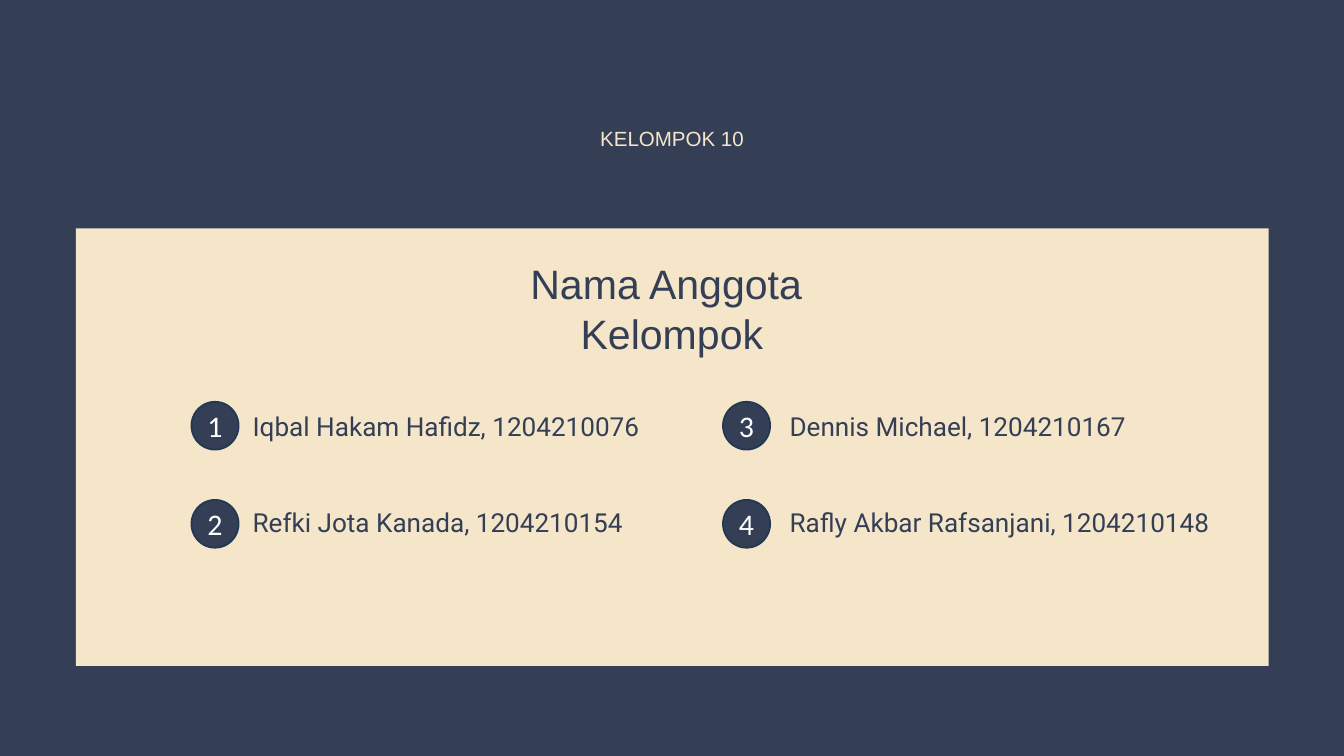
"""Build the group members slide."""
from dataclasses import dataclass

from pptx import Presentation
from pptx.dml.color import RGBColor
from pptx.enum.shapes import MSO_SHAPE
from pptx.enum.text import MSO_ANCHOR, MSO_AUTO_SIZE, PP_ALIGN
from pptx.slide import Slide
from pptx.text.text import TextFrame
from pptx.util import Inches, Pt

NAVY = RGBColor(0x34, 0x3F, 0x56)
NAVY_EDGE = RGBColor(0x23, 0x39, 0x53)
CREAM = RGBColor(0xF5, 0xE6, 0xCA)
WHITE = RGBColor(0xFF, 0xFF, 0xFF)


@dataclass(frozen=True)
class Style:
    font: str
    size: int
    color: RGBColor
    align: PP_ALIGN = PP_ALIGN.CENTER
    spacing: float | None = None


@dataclass(frozen=True)
class Box:
    left: float
    top: float
    width: float
    height: float

    def lengths(self) -> list[int]:
        return [Inches(value) for value in (self.left, self.top, self.width, self.height)]


@dataclass(frozen=True)
class Column:
    badge_left: float
    name_left: float
    name_width: float
    members: tuple[str, ...]


TITLE = Style("Arial", 44, NAVY)
GROUP = Style("Arial", 22, CREAM, spacing=30.8)
MEMBER = Style("Roboto", 28, NAVY, PP_ALIGN.LEFT, 30.8)
NUMBER = Style("Calibri", 32, WHITE)

COLUMNS = (
    Column(2.85, 3.76, 6.03, ("Iqbal Hakam Hafidz, 1204210076", "Refki Jota Kanada, 1204210154")),
    Column(10.76, 11.75, 6.51, ("Dennis Michael, 1204210167", "Rafly Akbar Rafsanjani, 1204210148")),
)
BADGE_TOP, BADGE_STEP = 5.98, 1.46
NAME_TOP, NAME_STEP = 6.15, 1.43


def write_lines(frame: TextFrame, lines: tuple[str, ...], style: Style) -> None:
    for index, line in enumerate(lines):
        paragraph = frame.add_paragraph() if index else frame.paragraphs[0]
        paragraph.alignment = style.align
        if style.spacing:
            paragraph.line_spacing = Pt(style.spacing)
        run = paragraph.add_run()
        run.text = line
        run.font.name = style.font
        run.font.size = Pt(style.size)
        run.font.color.rgb = style.color


def add_label(slide: Slide, box: Box, lines: tuple[str, ...], style: Style) -> None:
    frame = slide.shapes.add_textbox(*box.lengths()).text_frame
    frame.word_wrap = True
    frame.auto_size = MSO_AUTO_SIZE.SHAPE_TO_FIT_TEXT
    frame.margin_left = frame.margin_right = frame.margin_top = frame.margin_bottom = 0
    write_lines(frame, lines, style)


def add_panel(slide: Slide, box: Box) -> None:
    panel = slide.shapes.add_shape(MSO_SHAPE.RECTANGLE, *box.lengths())
    panel.shadow.inherit = False
    panel.fill.solid()
    panel.fill.fore_color.rgb = CREAM
    panel.line.fill.background()


def add_badge(slide: Slide, box: Box, number: int) -> None:
    badge = slide.shapes.add_shape(MSO_SHAPE.OVAL, *box.lengths())
    badge.shadow.inherit = False
    badge.fill.solid()
    badge.fill.fore_color.rgb = NAVY
    badge.line.color.rgb = NAVY_EDGE
    badge.line.width = Pt(2)
    badge.text_frame.vertical_anchor = MSO_ANCHOR.MIDDLE
    write_lines(badge.text_frame, (str(number),), NUMBER)


def main() -> None:
    presentation = Presentation()
    presentation.slide_width = Inches(20)
    presentation.slide_height = Inches(11.25)
    slide = presentation.slides.add_slide(presentation.slide_layouts[6])
    slide.background.fill.solid()
    slide.background.fill.fore_color.rgb = NAVY

    add_panel(slide, Box(1.13, 3.4, 17.75, 6.51))
    add_label(slide, Box(4.89, 3.85, 10.22, 1.48), ("Nama Anggota ", "Kelompok"), TITLE)
    add_label(slide, Box(7.65, 1.81, 4.7, 0.37), ("KELOMPOK 10",), GROUP)

    number = 0
    for column in COLUMNS:
        for row, member in enumerate(column.members):
            number += 1
            add_badge(slide, Box(column.badge_left, BADGE_TOP + row * BADGE_STEP, 0.7, 0.71), number)
            name_box = Box(column.name_left, NAME_TOP + row * NAME_STEP, column.name_width, 0.43)
            add_label(slide, name_box, (member,), MEMBER)

    presentation.save("out.pptx")


if __name__ == "__main__":
    main()
